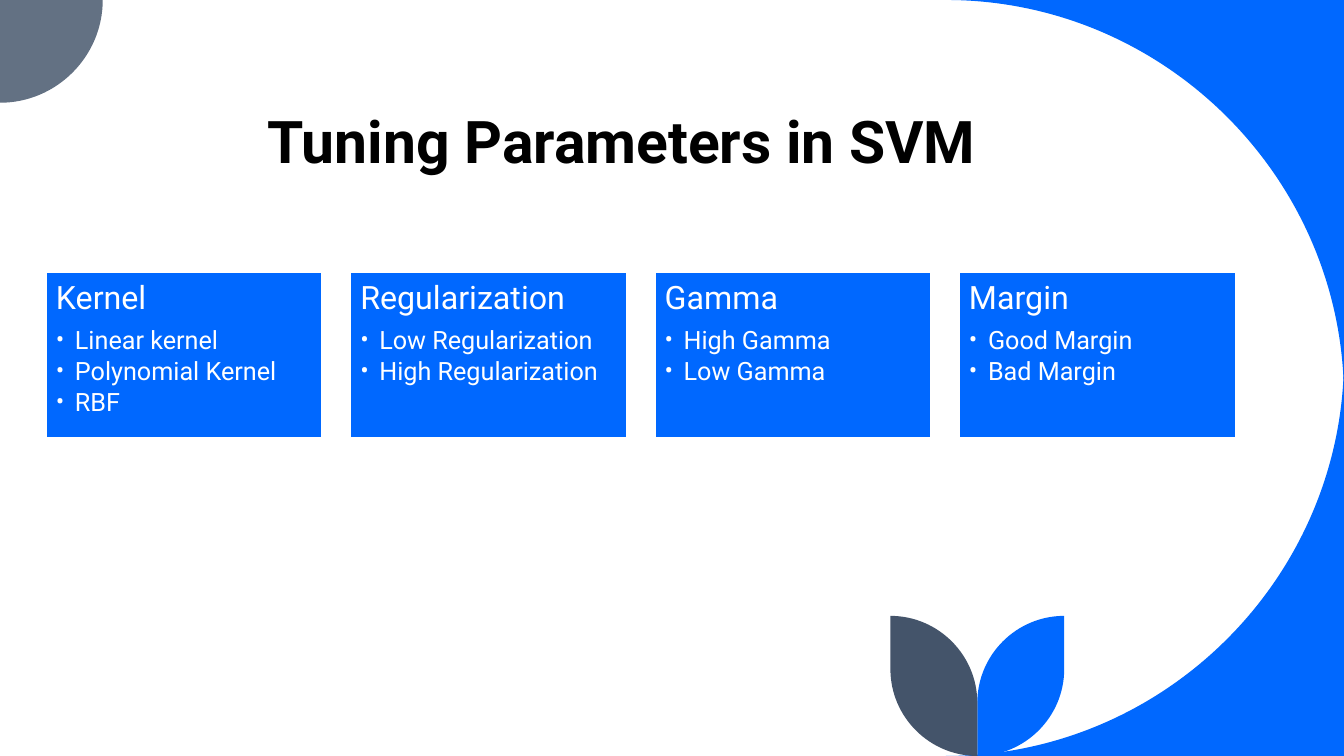
import pptx
import pptx.dml.color
import pptx.enum.shapes
import pptx.enum.text
import pptx.oxml
import pptx.oxml.ns
import pptx.util

Cm = pptx.util.Cm
Pt = pptx.util.Pt
rgb = pptx.dml.color.RGBColor.from_string
qn = pptx.oxml.ns.qn
space = pptx.oxml.ns.nsdecls("a")
Align = pptx.enum.text.PP_ALIGN
Anchor = pptx.enum.text.MSO_ANCHOR

theme = {
    "font": "Roboto",
    "blue": rgb("0068FF"),
    "slate": rgb("637183"),
    "navy": rgb("44546A"),
    "white": rgb("FFFFFF"),
    "black": rgb("000000"),
    "title": Pt(42),
    "head": Pt(23),
    "item": Pt(18),
}

wide, high = 33.87, 19.05
deck = pptx.Presentation()
deck.slide_width, deck.slide_height = Cm(wide), Cm(high)
slide = deck.slides.add_slide(deck.slide_layouts[6])


def arc(start, corner, end):
    """Two handles and the end of a quarter circle bulging to the corner."""
    pull = 0.55
    grips = [tuple(a + (c - a) * pull for a, c in zip(point, corner))
             for point in (start, end)]
    return [*grips, end]


def style(para, size, color, **format):
    font = para.font
    values = {"name": theme["font"], "size": size, **format}
    for key, value in values.items():
        setattr(font, key, value)
    font.color.rgb = color


# Corner shapes: start point, then steps of one point (line) or three (curve)
bend = 10.03
edge = wide - bend
dot = 2.59
forms = [
    ((edge, 0), [arc((edge, 0), (wide, 0), (wide, bend)), [(wide, 0)]], "blue"),
    ((wide, high - bend),
     [arc((wide, high - bend), (wide, high), (edge, high)), [(wide, high)]],
     "blue"),
    ((dot, 0), [arc((dot, 0), (dot, dot), (0, dot)), [(0, 0)]], "slate"),
]

# Two leaves, mirrored about the stem
stem, leaf, tip = 24.63, 2.19, 15.52
for side, color in ((leaf, "blue"), (-leaf, "navy")):
    rim = stem + side
    low, mid = high - leaf, tip + leaf
    forms.append(((rim, tip), [
        [(rim, low)],
        arc((rim, low), (rim, high), (stem, high)),
        [(stem, mid)],
        arc((stem, mid), (stem, tip), (rim, tip)),
    ], color))

for start, steps, color in forms:
    pen = slide.shapes.build_freeform(Cm(start[0]), Cm(start[1]))
    pen.add_line_segments(
        [(Cm(x), Cm(y)) for step in steps for x, y in step], close=True)
    shape = pen.convert_to_shape()
    lines = iter(list(shape._element.iter(qn("a:lnTo"))))
    for step in steps:
        group = [next(lines) for point in step]
        if len(group) == 3:
            curve = pptx.oxml.parse_xml(f"<a:cubicBezTo {space}/>")
            group[0].addprevious(curve)
            for line in group:
                curve.append(line[0])
                line.getparent().remove(line)
    shape.shadow.inherit = False
    shape.fill.solid()
    shape.fill.fore_color.rgb = theme[color]
    shape.line.fill.background()

# Title
box = slide.shapes.add_textbox(Cm(5.9), Cm(2.19), Cm(19.53), Cm(2.34))
frame = box.text_frame
frame.word_wrap = True
frame.vertical_anchor = Anchor.BOTTOM
para = frame.paragraphs[0]
para.text = "Tuning Parameters in SVM"
para.alignment = Align.CENTER
para.line_spacing = 0.8
style(para, theme["title"], theme["black"], bold=True)

# Parameter cards
cards = {
    "Kernel": ["Linear kernel", "Polynomial Kernel", "RBF"],
    "Regularization": ["Low Regularization", "High Regularization"],
    "Gamma": ["High Gamma", "Low Gamma"],
    "Margin": ["Good Margin", "Bad Margin"],
}
inset = Cm(0.25)
setup = {
    "word_wrap": True,
    "vertical_anchor": Anchor.TOP,
    "margin_left": inset,
    "margin_top": inset,
    "margin_right": inset,
    "margin_bottom": inset,
}
rect = pptx.enum.shapes.MSO_SHAPE.RECTANGLE
for index, (head, items) in enumerate(cards.items()):
    card = slide.shapes.add_shape(
        rect, Cm(1.16 + index * 7.67), Cm(6.86), Cm(6.97), Cm(4.17))
    card.shadow.inherit = False
    card.fill.solid()
    card.fill.fore_color.rgb = theme["blue"]
    card.line.color.rgb = theme["white"]
    card.line.width = Pt(1.5)
    frame = card.text_frame
    for key, value in setup.items():
        setattr(frame, key, value)

    para = frame.paragraphs[0]
    para.text = head
    para.alignment = Align.LEFT
    para.line_spacing = 0.9
    para.space_after = Pt(8)
    style(para, theme["head"], theme["white"])

    for item in items:
        para = frame.add_paragraph()
        para.text = item
        para.level = 1
        para.alignment = Align.LEFT
        para.line_spacing = 0.9
        para.space_after = Pt(2.7)
        props = para._p.get_or_add_pPr()
        props.set("marL", str(Cm(0.48)))
        props.set("indent", str(-Cm(0.48)))
        for mark in (f'buFont {space} typeface="{theme["font"]}"',
                     f'buChar {space} char="•"'):
            props.append(pptx.oxml.parse_xml(f"<a:{mark}/>"))
        style(para, theme["item"], theme["white"])

deck.save("out.pptx")
